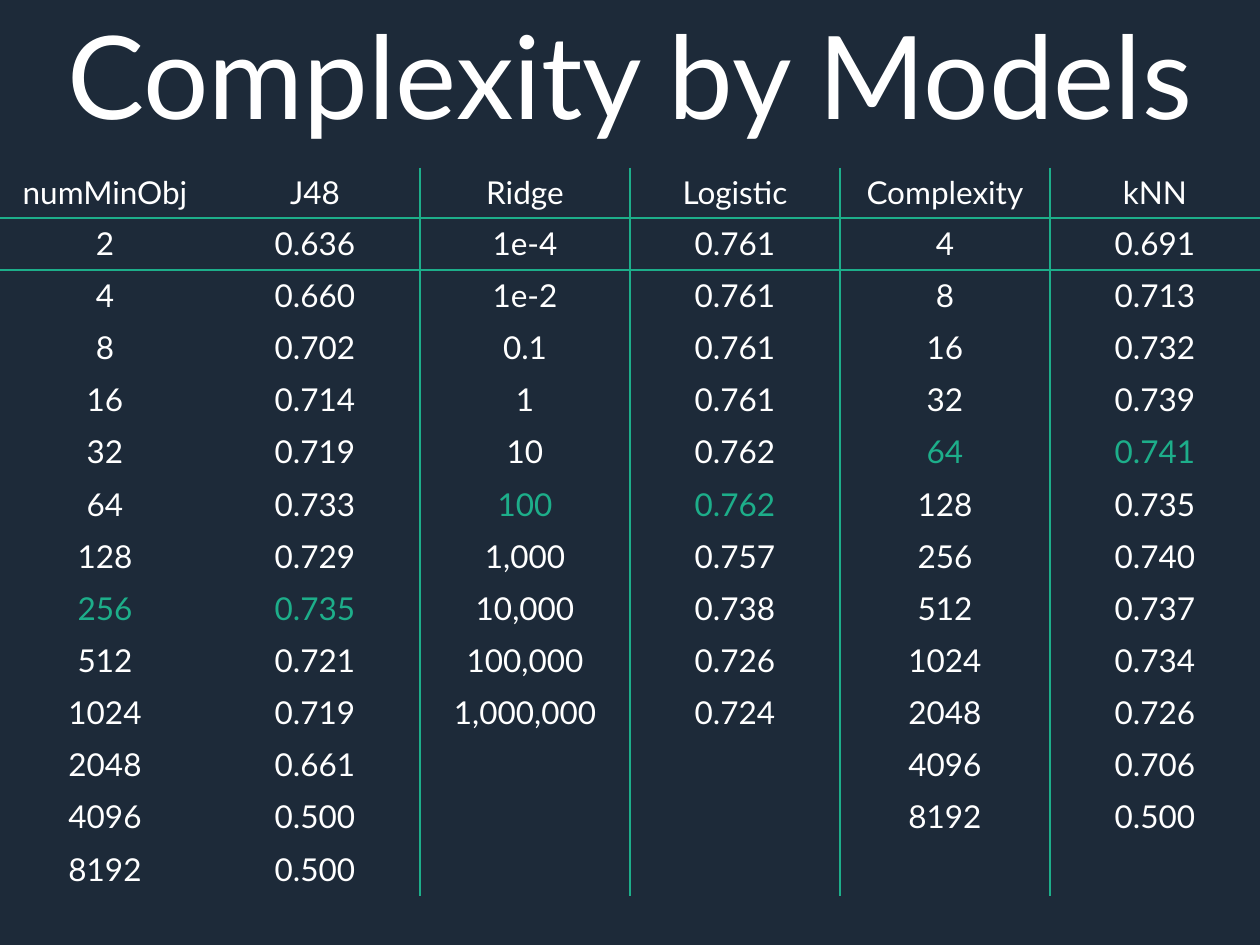
from dataclasses import dataclass
from itertools import zip_longest

from lxml import etree
from pptx import Presentation
from pptx.dml.color import RGBColor
from pptx.enum import text
from pptx.oxml import ns
from pptx.util import Inches, Pt


@dataclass(frozen=True)
class Theme:
    background: str = "1D2A39"
    ink: str = "FFFFFF"
    accent: str = "1DAE8A"
    font: str = "Lato"
    title_size: int = 66
    body_size: int = 18
    rule_width: int = 1


@dataclass(frozen=True)
class Model:
    parameter: str
    name: str
    results: tuple[tuple[str, str], ...]
    best: int  # index of the highlighted result


THEME = Theme()

# Results of each model as (parameter value, score)
MODELS = (
    Model("numMinObj", "J48", (
        ("2", "0.636"), ("4", "0.660"), ("8", "0.702"), ("16", "0.714"),
        ("32", "0.719"), ("64", "0.733"), ("128", "0.729"), ("256", "0.735"),
        ("512", "0.721"), ("1024", "0.719"), ("2048", "0.661"),
        ("4096", "0.500"), ("8192", "0.500")), best=7),
    Model("Ridge", "Logistic", (
        ("1e-4", "0.761"), ("1e-2", "0.761"), ("0.1", "0.761"), ("1", "0.761"),
        ("10", "0.762"), ("100", "0.762"), ("1,000", "0.757"),
        ("10,000", "0.738"), ("100,000", "0.726"), ("1,000,000", "0.724")), best=5),
    Model("Complexity", "kNN", (
        ("4", "0.691"), ("8", "0.713"), ("16", "0.732"), ("32", "0.739"),
        ("64", "0.741"), ("128", "0.735"), ("256", "0.740"), ("512", "0.737"),
        ("1024", "0.734"), ("2048", "0.726"), ("4096", "0.706"),
        ("8192", "0.500")), best=4),
)

# Grid lines that are ruled, counted from the top and from the left
RULED_ROWS = {1, 2}
RULED_COLUMNS = {2, 3, 4, 5}

SLIDE_WIDTH, SLIDE_HEIGHT = 10, 7.5
TABLE_TOP, TABLE_HEIGHT, HEADER_HEIGHT = 1.33, 5.78, 0.4


def write(tf, value: str, size: int, color: str) -> None:
    """Put one centred, formatted run into a text frame."""
    p = tf.paragraphs[0]
    p.alignment = text.PP_ALIGN.CENTER
    r = p.add_run()
    r.text = value
    for name, setting in {"name": THEME.font, "size": Pt(size)}.items():
        setattr(r.font, name, setting)
    r.font.color.rgb = RGBColor.from_string(color)


def rule_cell(cell, row: int, col: int) -> None:
    """Draw the ruled sides of a cell and clear the others."""
    sides = {
        "lnL": col in RULED_COLUMNS,
        "lnR": col + 1 in RULED_COLUMNS,
        "lnT": row in RULED_ROWS,
        "lnB": row + 1 in RULED_ROWS,
    }
    properties = cell._tc.get_or_add_tcPr()
    for tag, ruled in sides.items():
        line = etree.SubElement(properties, ns.qn(f"a:{tag}"),
                                w=str(Pt(THEME.rule_width)))
        if ruled:
            fill = etree.SubElement(line, ns.qn("a:solidFill"))
            etree.SubElement(fill, ns.qn("a:srgbClr"), val=THEME.accent)
        else:
            etree.SubElement(line, ns.qn("a:noFill"))


def add_title(s, value: str) -> None:
    sp = s.shapes.add_textbox(Inches(0), Inches(-0.02),
                              Inches(SLIDE_WIDTH), Inches(1.21))
    tf = sp.text_frame
    tf.word_wrap = True
    write(tf, value, THEME.title_size, THEME.ink)


def add_results(s, models: tuple[Model, ...]) -> None:
    # Each model gives a pair of columns, the longest one sets the row count
    body = list(zip_longest(*(m.results for m in models), fillvalue=("", "")))
    headers = tuple((m.parameter, m.name) for m in models)
    rows, cols = len(body) + 1, 2 * len(models)

    table = s.shapes.add_table(rows, cols, Inches(0), Inches(TABLE_TOP),
                               Inches(SLIDE_WIDTH), Inches(TABLE_HEIGHT)).table
    for name in ("first_row", "horz_banding"):
        setattr(table, name, False)
    for column in table.columns:
        column.width = Inches(SLIDE_WIDTH / cols)
    for i, table_row in enumerate(table.rows):
        body_height = (TABLE_HEIGHT - HEADER_HEIGHT) / len(body)
        table_row.height = Inches(body_height if i else HEADER_HEIGHT)

    for i, pairs in enumerate([headers, *body]):
        for j, value in enumerate(v for pair in pairs for v in pair):
            cell = table.cell(i, j)
            rule_cell(cell, i, j)
            cell.fill.background()
            if value:
                is_best = i - 1 == models[j // 2].best
                write(cell.text_frame, value, THEME.body_size,
                      THEME.accent if is_best else THEME.ink)


def main() -> None:
    prs = Presentation()
    prs.slide_width, prs.slide_height = Inches(SLIDE_WIDTH), Inches(SLIDE_HEIGHT)
    s = prs.slides.add_slide(prs.slide_layouts[6])

    # Background
    s.background.fill.solid()
    s.background.fill.fore_color.rgb = RGBColor.from_string(THEME.background)

    # Title and table
    add_title(s, "Complexity by Models")
    add_results(s, MODELS)
    prs.save("out.pptx")


if __name__ == "__main__":
    main()
